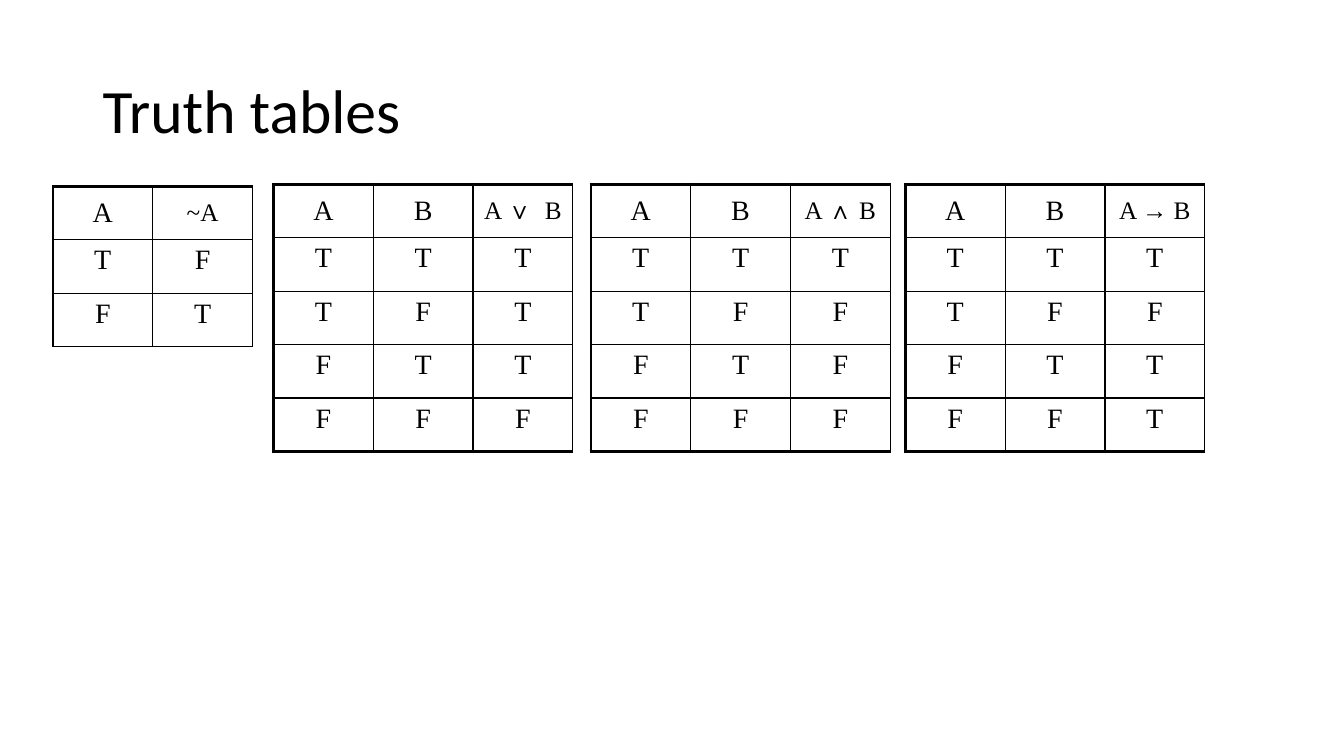
import itertools

import lxml.etree
import pptx
import pptx.dml.color
import pptx.enum.text
import pptx.oxml.ns
import pptx.util

COLORS = {"ink": "000000", "paper": "FFFFFF"}
COLUMN = 0.99
ROW = 0.53
THIN = 1
THICK = 2.25
CENTER = pptx.enum.text.PP_ALIGN.CENTER
LEFT = pptx.enum.text.PP_ALIGN.LEFT
MIDDLE = pptx.enum.text.MSO_ANCHOR.MIDDLE
TOP = pptx.enum.text.MSO_ANCHOR.TOP

CONNECTIVES = [
    (9.07, "A → B", lambda a, b: not a or b),
    (5.92, "A ∧ B", lambda a, b: a and b),
    (2.74, "A ∨  B", lambda a, b: a or b),
]


def columns(count):
    return pptx.util.Inches(count * COLUMN)


def rows(count):
    return pptx.util.Inches(count * ROW)


def add_child(parent, tag, **attributes):
    child = lxml.etree.SubElement(parent, pptx.oxml.ns.qn(tag))
    for name, value in attributes.items():
        child.set(name, str(value))
    return child


def write_text(frame, text, size, font, align=LEFT, line_spacing=None, space_percent=None):
    paragraph = frame.paragraphs[0]
    paragraph.alignment = align
    if line_spacing:
        paragraph.line_spacing = line_spacing
    if space_percent:
        paragraph.space_before = pptx.util.Pt(0)
        spacing = paragraph._p.pPr.find(pptx.oxml.ns.qn("a:spcBef"))
        spacing.remove(spacing[0])
        add_child(spacing, "a:spcPct", val=space_percent * 1000)
    run = paragraph.add_run()
    run.text = text
    run.font.size = pptx.util.Pt(size)
    run.font.name = font
    run.font.color.rgb = pptx.dml.color.RGBColor.from_string(COLORS["ink"])


def set_borders(cell, left, right, top, bottom):
    properties = cell._tc.get_or_add_tcPr()
    sides = {"a:lnL": left, "a:lnR": right, "a:lnT": top, "a:lnB": bottom}
    for tag, width in sides.items():
        line = add_child(properties, tag, w=pptx.util.Pt(width))
        fill = add_child(line, "a:solidFill")
        add_child(fill, "a:srgbClr", val=COLORS["ink"])


def add_title(slide, text):
    box = slide.shapes.add_textbox(columns(0.93), rows(0.75), columns(11.62), rows(2.74))
    box.text_frame.word_wrap = True
    box.text_frame.vertical_anchor = MIDDLE
    write_text(box.text_frame, text, 44, "Calibri", line_spacing=0.9)


def add_truth_table(slide, left, top, headings, cases, outer):
    content = [headings] + [["T" if value else "F" for value in case] for case in cases]
    row_count, column_count = len(content), len(headings)
    table = slide.shapes.add_table(
        row_count, column_count, columns(left), rows(top), columns(column_count), rows(row_count)
    ).table
    table.first_row = False
    table.horz_banding = False
    for table_column in table.columns:
        table_column.width = columns(1)
    for table_row in table.rows:
        table_row.height = rows(1)
    for row, column in itertools.product(range(row_count), range(column_count)):
        cell = table.cell(row, column)
        text = content[row][column]
        cell.vertical_anchor = MIDDLE if row == 0 else TOP
        write_text(cell.text_frame, text, 20 if len(text) == 1 else 18,
                   "Times New Roman", align=CENTER, space_percent=20)
        set_borders(
            cell,
            left=outer if column == 0 else THIN,
            right=THIN,
            top=THICK if row == 0 else THIN,
            bottom=outer if row == row_count - 1 else THIN,
        )
        cell.fill.background()


def main():
    presentation = pptx.Presentation()
    presentation.slide_width = pptx.util.Inches(13.33)
    presentation.slide_height = pptx.util.Inches(7.5)
    slide = presentation.slides.add_slide(presentation.slide_layouts[6])
    background = slide.background.fill
    background.solid()
    background.fore_color.rgb = pptx.dml.color.RGBColor.from_string(COLORS["paper"])

    add_title(slide, "Truth tables")
    for left, formula, connective in CONNECTIVES:
        cases = [(a, b, connective(a, b)) for a, b in itertools.product((True, False), repeat=2)]
        add_truth_table(slide, left, 3.45, ["A", "B", formula], cases, THICK)
    negation = [(a, not a) for a in (True, False)]
    add_truth_table(slide, 0.53, 3.49, ["A", "~A"], negation, THIN)

    presentation.save("out.pptx")


main()
